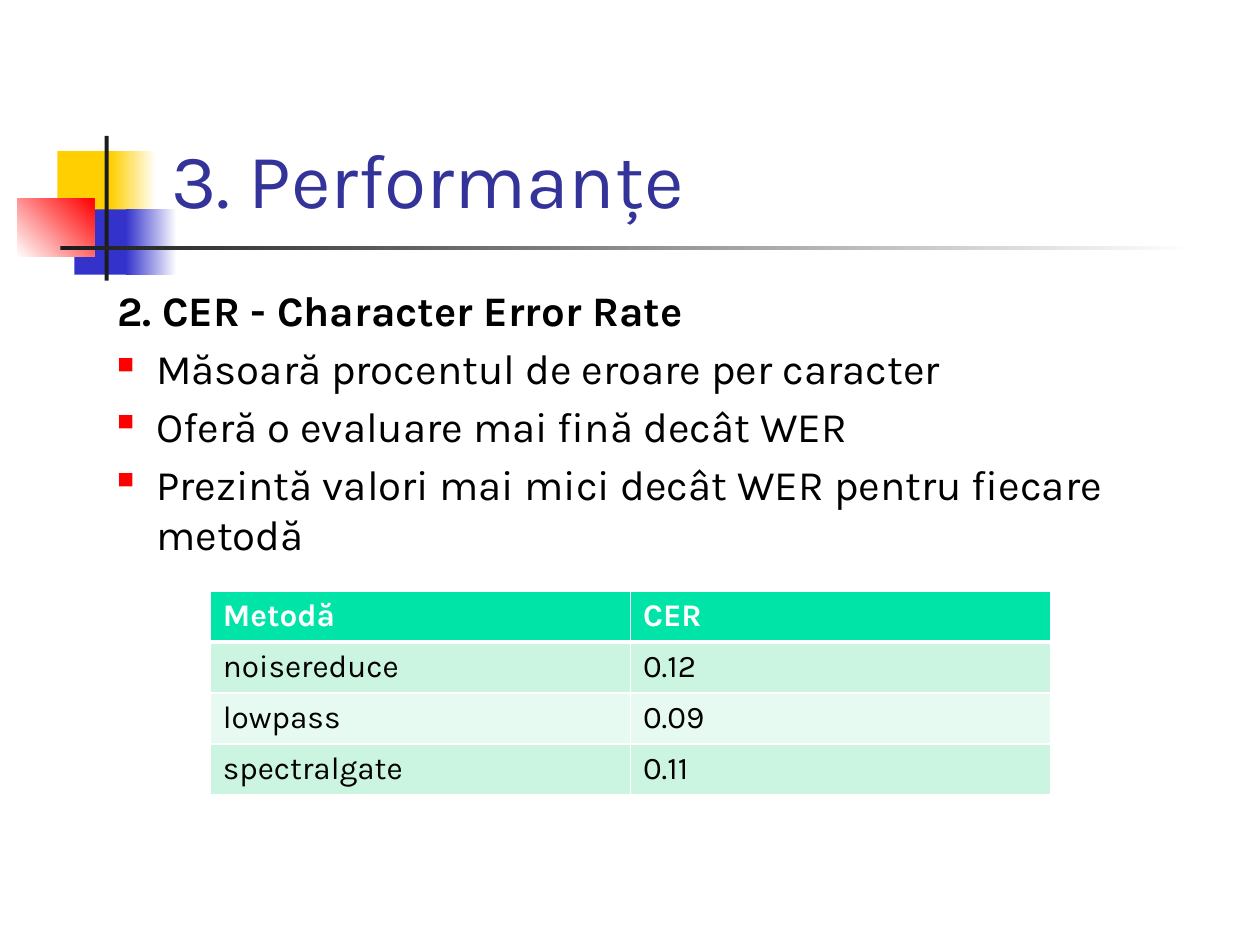
from lxml.etree import SubElement
from pptx import Presentation
from pptx.dml.color import RGBColor as Rgb
from pptx.enum.shapes import MSO_SHAPE as Shape
from pptx.enum.text import MSO_ANCHOR as Anchor
from pptx.oxml import parse_xml
from pptx.oxml.ns import nsdecls, qn
from pptx.util import Cm, Pt

FONT = "Karla"
WHITE = Rgb(0xFF, 0xFF, 0xFF)
BLACK = Rgb(0, 0, 0)
YELLOW = Rgb(0xFF, 0xCF, 0x01)
BLUE = Rgb(0x33, 0x33, 0xCC)
RED = Rgb(0xFF, 0, 0)
DARK = Rgb(0x1C, 0x1C, 0x1C)
NAVY = Rgb(0x33, 0x33, 0x99)
GREEN = Rgb(0, 0xE4, 0xA8)
MINT = Rgb(0xCC, 0xF5, 0xE1)
PALE = Rgb(0xE7, 0xFA, 0xF1)

TITLE = "3. Performanțe"
HEAD = "2. CER - Character Error Rate"
POINTS = [
    "Măsoară procentul de eroare per caracter",
    "Oferă o evaluare mai fină decât WER",
    "Prezintă valori mai mici decât WER pentru fiecare metodă",
]
ROWS = [
    ("Metodă", "CER"),
    ("noisereduce", "0.12"),
    ("lowpass", "0.09"),
    ("spectralgate", "0.11"),
]
# left, top, width, height in cm; colours from start to end; angle
DECOR = [
    (1.16, 3.05, 1.22, 1.32, [YELLOW], 0),
    (2.23, 3.05, 0.92, 1.32, [YELLOW, WHITE], 0),
    (1.5, 4.22, 1.17, 1.32, [BLUE], 0),
    (2.54, 4.22, 1.02, 1.32, [BLUE, WHITE], 0),
    (0.35, 4.01, 1.55, 1.17, [WHITE, RED], 45),
    (2.11, 2.74, 0.08, 2.92, [DARK], 0),
    (1.22, 4.95, 22.86, 0.09, [DARK, WHITE], 0),
]
TABLE = (4.24, 11.91, 16.94, 4.12)


def add_decor(slide, left, top, width, height, tints, angle):
    box = slide.shapes.add_shape(
        Shape.RECTANGLE, Cm(left), Cm(top), Cm(width), Cm(height))
    box.shadow.inherit = False
    box.line.fill.background()
    if len(tints) == 1:
        box.fill.solid()
        box.fill.fore_color.rgb = tints[0]
        return
    box.fill.gradient()
    box.fill.gradient_angle = angle
    for stop, tint in zip(box.fill.gradient_stops, tints):
        stop.color.rgb = tint


def add_frame(slide, left, top, width, height, anchor):
    box = slide.shapes.add_textbox(Cm(left), Cm(top), Cm(width), Cm(height))
    frame = box.text_frame
    frame.word_wrap = True
    frame.vertical_anchor = anchor
    return frame


def add_run(para, text, size, color, bold=False):
    run = para.add_run()
    run.text = text
    font = run.font
    font.name, font.size, font.bold = FONT, Pt(size), bold
    font.color.rgb = color


def set_bullet(para):
    props = para._p.get_or_add_pPr()
    tint = SubElement(props, qn("a:buClr"))
    SubElement(tint, qn("a:srgbClr"), val=str(RED))
    SubElement(props, qn("a:buSzPct"), val="55000")
    SubElement(props, qn("a:buChar"), char="■")


def add_body(slide):
    frame = add_frame(slide, 0.84, 5.61, 24.03, 12.6, Anchor.TOP)
    for i, text in enumerate([HEAD] + POINTS):
        para = frame.add_paragraph() if i else frame.paragraphs[0]
        para.space_before = Pt(4.3)
        props = para._p.get_or_add_pPr()
        props.set("marL", str(Cm(2.06)))
        props.set("indent", str(Cm(-0.79)))
        if i:
            set_bullet(para)
        add_run(para, text, 24, BLACK, bold=i == 0)


def set_border(cell, header):
    props = cell._tc.get_or_add_tcPr()
    for i, side in enumerate("LRTB"):
        width = Pt(3 if header and side == "B" else 1)
        props.insert(i, parse_xml(
            f'<a:ln{side} {nsdecls("a")} w="{width}"><a:solidFill>'
            f'<a:srgbClr val="{WHITE}"/></a:solidFill></a:ln{side}>'))


def add_scores(slide):
    spot = [Cm(n) for n in TABLE]
    table = slide.shapes.add_table(len(ROWS), len(ROWS[0]), *spot).table
    for r, row in enumerate(ROWS):
        for c, text in enumerate(row):
            cell = table.cell(r, c)
            cell.fill.solid()
            cell.fill.fore_color.rgb = (
                GREEN if r == 0 else MINT if r % 2 else PALE)
            set_border(cell, r == 0)
            add_run(cell.text_frame.paragraphs[0], text, 18,
                    BLACK if r else WHITE, bold=r == 0)


def main():
    deck = Presentation()
    deck.slide_width, deck.slide_height = Cm(25.4), Cm(19.05)
    slide = deck.slides.add_slide(deck.slide_layouts[6])
    for part in DECOR:
        add_decor(slide, *part)
    title = add_frame(slide, 3.2, 0.58, 21.64, 4.06, Anchor.BOTTOM)
    add_run(title.paragraphs[0], TITLE, 44, NAVY)
    add_body(slide)
    add_scores(slide)
    deck.save("out.pptx")


if __name__ == "__main__":
    main()
